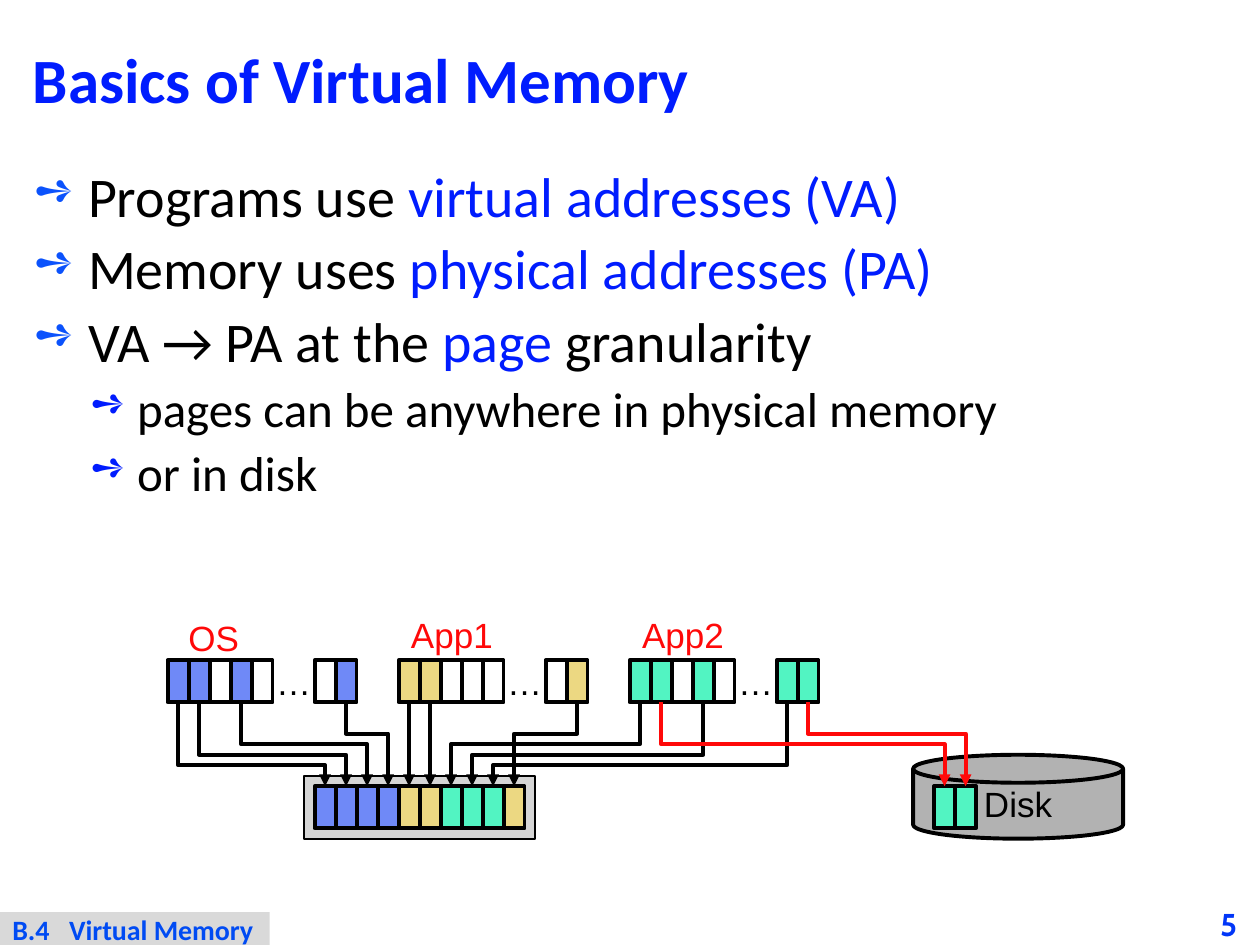
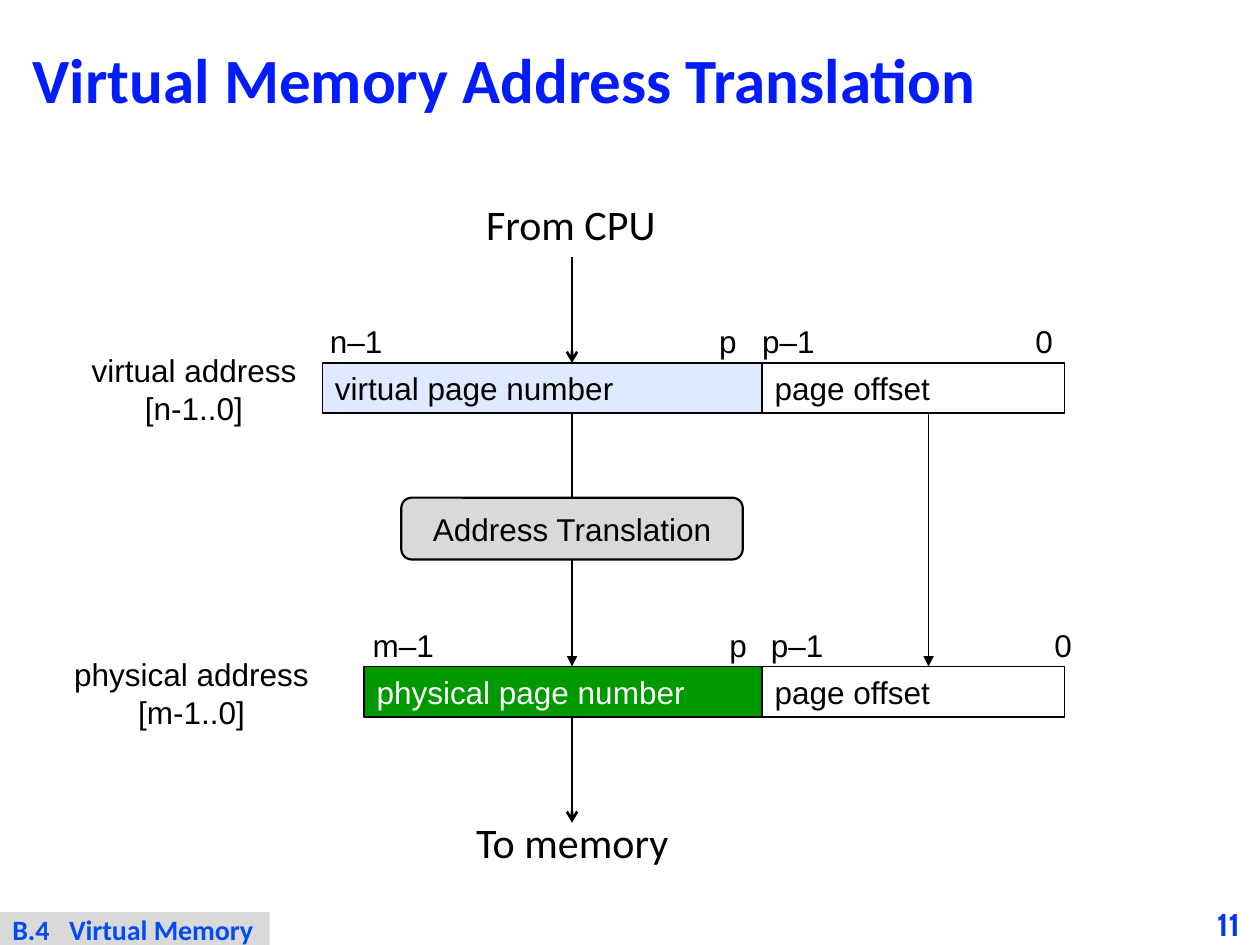
from dataclasses import dataclass

from lxml import etree
from pptx import Presentation
from pptx import util as u
from pptx.dml.color import RGBColor
from pptx.enum import shapes, text
from pptx.oxml.ns import qn

BLACK, WHITE, RED = "000000", "FFFFFF", "FF0909"
BLUE, FOOTER_BLUE, NUMBER_BLUE, BULLET_BLUE = "001CFE", "004BF3", "0136F8", "0B52FC"
BAND_GREY, FRAME_GREY, DISK_GREY = "D9D9D9", "D5D5D5", "B2B2B2"
PAGE_FILLS = {"b": "6F89F7", "y": "ECD882", "g": "52F4C2", "w": WHITE, ".": None}
LEFT, CENTER = text.PP_ALIGN.LEFT, text.PP_ALIGN.CENTER
TOP, MIDDLE = text.MSO_ANCHOR.TOP, text.MSO_ANCHOR.MIDDLE
KIND = shapes.MSO_SHAPE


@dataclass
class Grid:
    """Columns and rows counted from a region's top left corner, in inches."""
    left: float
    top: float
    col: float
    row: float

    def point(self, col, row):
        return u.Inches(self.left + col * self.col), u.Inches(self.top + row * self.row)

    def box(self, col, row, cols, rows):
        return *self.point(col, row), u.Inches(cols * self.col), u.Inches(rows * self.row)


SLIDE = Grid(0, 0, 0.1, 0.1)


def rgb(color):
    return RGBColor.from_string(color)


# Text
def add_run(paragraph, words, size, font, color, bold=False):
    run = paragraph.add_run()
    run.text = words
    run.font.size, run.font.name, run.font.bold = u.Pt(size), font, bold
    run.font.color.rgb = rgb(color)


def write(shape, lines, size, font="Arial", color=BLACK, bold=False,
          align=LEFT, anchor=MIDDLE, wrap=False):
    frame = shape.text_frame
    frame.word_wrap, frame.vertical_anchor = wrap, anchor
    for number, line in enumerate(lines.split("\n")):
        paragraph = frame.add_paragraph() if number else frame.paragraphs[0]
        paragraph.alignment = align
        add_run(paragraph, line, size, font, color, bold)
    return frame


def add_label(slide, box, lines, size, anchor=TOP, **style):
    return write(slide.shapes.add_textbox(*box), lines, size, anchor=anchor, **style)


def add_centred_label(slide, box, words, size, **style):
    """A label in the middle of its box, without margins."""
    frame = add_label(slide, box, words, size, MIDDLE, align=CENTER, **style)
    frame.margin_left = frame.margin_right = frame.margin_top = frame.margin_bottom = 0


# Shapes and lines
def add_box(slide, box, fill, line=BLACK, width=1.0, kind=KIND.RECTANGLE):
    shape = slide.shapes.add_shape(kind, *box)
    return paint(shape, fill, line, width)


def paint(shape, fill, line, width):
    shape.shadow.inherit = False
    if fill:
        shape.fill.solid()
        shape.fill.fore_color.rgb = rgb(fill)
    else:
        shape.fill.background()
    if line:
        shape.line.color.rgb, shape.line.width = rgb(line), u.Pt(width)
    else:
        shape.line.fill.background()
    return shape


def add_head(line, head):
    ln = line._element.spPr.find(qn("a:ln"))
    etree.SubElement(ln, qn("a:tailEnd"), type=head)


def add_arrow(slide, start, end, width=1.0, head="triangle", source=None, target=None):
    arrow = slide.shapes.add_connector(shapes.MSO_CONNECTOR.STRAIGHT, *start, *end)
    arrow.line.color.rgb, arrow.line.width = rgb(BLACK), u.Pt(width)
    if head:
        add_head(arrow, head)
    etree.SubElement(arrow._element.spPr, qn("a:effectLst"))
    if source:
        arrow.begin_connect(source, 2)
    if target:
        arrow.end_connect(target, 0)


def add_bent_arrow(slide, grid, start, lane, end, color):
    """Drop from the page row to a lane, run along it, drop to the frames."""
    corners = [grid.point(*at) for at in
               ((start, 2), (start, lane), (end, lane), (end, 6))]
    builder = slide.shapes.build_freeform(*corners[0])
    builder.add_line_segments(corners[1:], close=False)
    add_head(paint(builder.convert_to_shape(), None, color, 2.25), "triangle")


# Shared parts
def add_slide(deck, heading, number):
    slide = deck.slides.add_slide(deck.slide_layouts[5])
    title = slide.shapes.title
    title.left, title.top, title.width, title.height = SLIDE.box(1.6, 1.6, 96.8, 10.1)
    frame = write(title, heading, 36, "Calibri", BLUE, bold=True, wrap=True)
    frame.auto_size = text.MSO_AUTO_SIZE.NONE
    frame.paragraphs[0].line_spacing = 0.87
    add_centred_label(slide, SLIDE.box(95, 71.7, 5, 3.3), number, 18,
                      font="Cabin", color=NUMBER_BLUE, bold=True, wrap=True)
    return slide


def add_footer(slide):
    band = add_box(slide, SLIDE.box(0, 72.4, 21.4, 2.7), BAND_GREY, line=None)
    frame = write(band, "B.4\tVirtual Memory", 16, "Calibri", FOOTER_BLUE,
                  bold=True, anchor=TOP, wrap=True)
    frame.margin_top = frame.margin_bottom = 0
    stops = etree.SubElement(frame.paragraphs[0]._p.get_or_add_pPr(), qn("a:tabLst"))
    etree.SubElement(stops, qn("a:tab"), pos=str(u.Inches(0.45)), algn="l")


# Slide 1
STATEMENTS = [  # level, then runs as (words, colour)
    (0, [("Programs use ", BLACK), ("virtual addresses (VA)", BLUE)]),
    (0, [("Memory uses ", BLACK), ("physical addresses (PA)", BLUE)]),
    (0, [("VA → PA at the ", BLACK), ("page", BLUE), (" granularity", BLACK)]),
    (1, [("pages can be anywhere in physical memory", BLACK)]),
    (1, [("or in disk", BLACK)]),
]
LEVELS = [(0.44, 0.43, 32, BULLET_BLUE), (0.83, 0.37, 28, BLUE)]


def add_statements(slide, box):
    frame = slide.shapes.add_textbox(*box).text_frame
    frame.word_wrap = True
    for number, (level, runs) in enumerate(STATEMENTS):
        margin, hanging, size, bullet = LEVELS[level]
        paragraph = frame.add_paragraph() if number else frame.paragraphs[0]
        paragraph.level, paragraph.space_after = level, u.Pt(3)
        for words, color in runs:
            add_run(paragraph, words, size, "Calibri", color)
        properties = paragraph._p.get_or_add_pPr()
        properties.set("marL", str(u.Inches(margin)))
        properties.set("indent", str(-u.Inches(hanging)))
        tint = etree.SubElement(properties, qn("a:buClr"))
        etree.SubElement(tint, qn("a:srgbClr"), val=bullet)
        etree.SubElement(properties, qn("a:buSzPct"), val="85000")
        etree.SubElement(properties, qn("a:buChar"), char="➺")


def add_pages(slide, grid, col, row, pattern):
    """One page per letter; returns the pages by column."""
    return {col + i: add_box(slide, grid.box(col + i, row, 1, 2), PAGE_FILLS[key], width=2.25)
            for i, key in enumerate(pattern)}


def add_page_mapping(slide, grid):
    # Disk and physical memory
    disk = add_box(slide, grid.box(35.5, 4.5, 10, 4), DISK_GREY, width=2.25,
                   kind=KIND.FLOWCHART_MAGNETIC_DISK)
    write(disk, "Disk", 20, align=CENTER)
    add_box(slide, grid.box(6.5, 5.5, 11, 3), FRAME_GREY)
    memory = add_pages(slide, grid, 7, 6, "bbbbyygggy")
    add_pages(slide, grid, 36.5, 6, "gg")

    # Address spaces
    spaces = {}
    for col, program, name_at, first, last in (
            (0, "OS", (0.4, -2.4, 3.6, 2.6), "bb.b.", "wb"),
            (11, "App1", (11, -2.5, 5.1, 2.6), "yy.w.", "wy"),
            (22, "App2", (22, -2.5, 5.1, 2.6), "gg.g.", "gg")):
        add_label(slide, grid.box(*name_at), program, 20, color=RED)
        spaces |= add_pages(slide, grid, col, 0, first)
        add_centred_label(slide, grid.box(col + 5, 0, 2, 2), "…", 20)
        spaces |= add_pages(slide, grid, col + 7, 0, last)

    # Pages straight above their frames
    for col in (11, 12):
        add_arrow(slide, grid.point(col + 0.5, 2), grid.point(col + 0.5, 6), 2.25,
                  source=spaces[col], target=memory[col])
    # Pages mapped elsewhere: page column, lane, frame column
    for page, lane, target in ((0, 5, 7), (1, 4.5, 8), (3, 4, 9), (8, 3.5, 10),
                               (19, 3.5, 16), (22, 4, 13), (25, 4.5, 14), (29, 5, 15)):
        add_bent_arrow(slide, grid, page + 0.5, lane, target + 0.5, BLACK)
    for page, lane, target in ((23, 4, 36.5), (30, 3.5, 37.5)):
        add_bent_arrow(slide, grid, page + 0.5, lane, target + 0.5, RED)


# Slide 2
SPLIT, OFFSET_COLS, FIELD_ROWS = 60.5, 24, 4


def add_address(slide, grid, row, left, field, fill, ink, caption, caption_at, bits):
    """An address: page number and offset, its caption, and bit positions above."""
    for col, cols, words, back, color in (
            (left, SPLIT - left, field, fill, ink),
            (SPLIT, OFFSET_COLS, "page offset", WHITE, BLACK)):
        part = add_box(slide, grid.box(col, row, cols, FIELD_ROWS), back)
        write(part, words, 18, color=color)
    col, cols = caption_at
    add_label(slide, grid.box(col, row - 1.4, cols, 7), caption, 18, align=CENTER)
    for bit, col in bits:
        cols = 3.4 if len(bit) == 1 else 9  # wide enough to stay on one line
        add_label(slide, grid.box(col, row - 3.7, cols, 4), bit, 18)


def add_translation(slide, grid):
    virtual, physical, axis, offset_axis = 28.8, 52.9, 45.4, 73.7
    add_address(slide, grid, virtual, 25.6, "virtual page number", "DFE9FF", BLACK,
                "virtual address\n[n-1..0]", (6.2, 18.4),
                (("n–1", 25.2), ("p", 56.1), ("p–1", 59.5), ("0", 81.2)))
    add_address(slide, grid, physical, 28.9, "physical page number", "009900", WHITE,
                "physical address\n[m-1..0]", (4.8, 20.8),
                (("m–1", 28.6), ("p", 56.9), ("p–1", 60.2), ("0", 82.7)))

    # Translation step
    step = add_box(slide, grid.box(axis - 13.55, 39.5, 27.1, 4.9), BAND_GREY, width=1.25,
                   kind=KIND.ROUNDED_RECTANGLE)
    write(step, "Address Translation", 18, align=CENTER)

    # Flow from processor to memory
    add_label(slide, grid.box(37.6, 15.3, 15.6, 5), "From CPU", 24, font="Calibri")
    add_label(slide, grid.box(36.8, 64.3, 17.4, 5), "To memory", 24, font="Calibri")
    below_virtual, below_physical = virtual + FIELD_ROWS, physical + FIELD_ROWS
    for start, end in ((20.4, virtual), (below_physical, 65.3)):
        add_arrow(slide, grid.point(axis, start), grid.point(axis, end), 1.5, "arrow")
    add_arrow(slide, grid.point(axis, below_virtual), grid.point(axis, 39.5),
              head=None, target=step)
    add_arrow(slide, grid.point(axis, 44.4), grid.point(axis, physical), source=step)
    add_arrow(slide, grid.point(offset_axis, below_virtual),
              grid.point(offset_axis, physical))


def main():
    deck = Presentation()
    deck.slide_width, deck.slide_height = u.Inches(10), u.Inches(7.5)

    basics = add_slide(deck, "Basics of Virtual Memory", "5")
    add_statements(basics, SLIDE.box(1.6, 12.3, 96.8, 32.6))
    add_page_mapping(basics, Grid(1.33, 5.24, 1 / 6, 1 / 6))
    add_footer(basics)

    translation = add_slide(deck, "Virtual Memory Address Translation", "11")
    add_translation(translation, SLIDE)
    add_footer(translation)

    deck.save("out.pptx")


if __name__ == "__main__":
    main()
